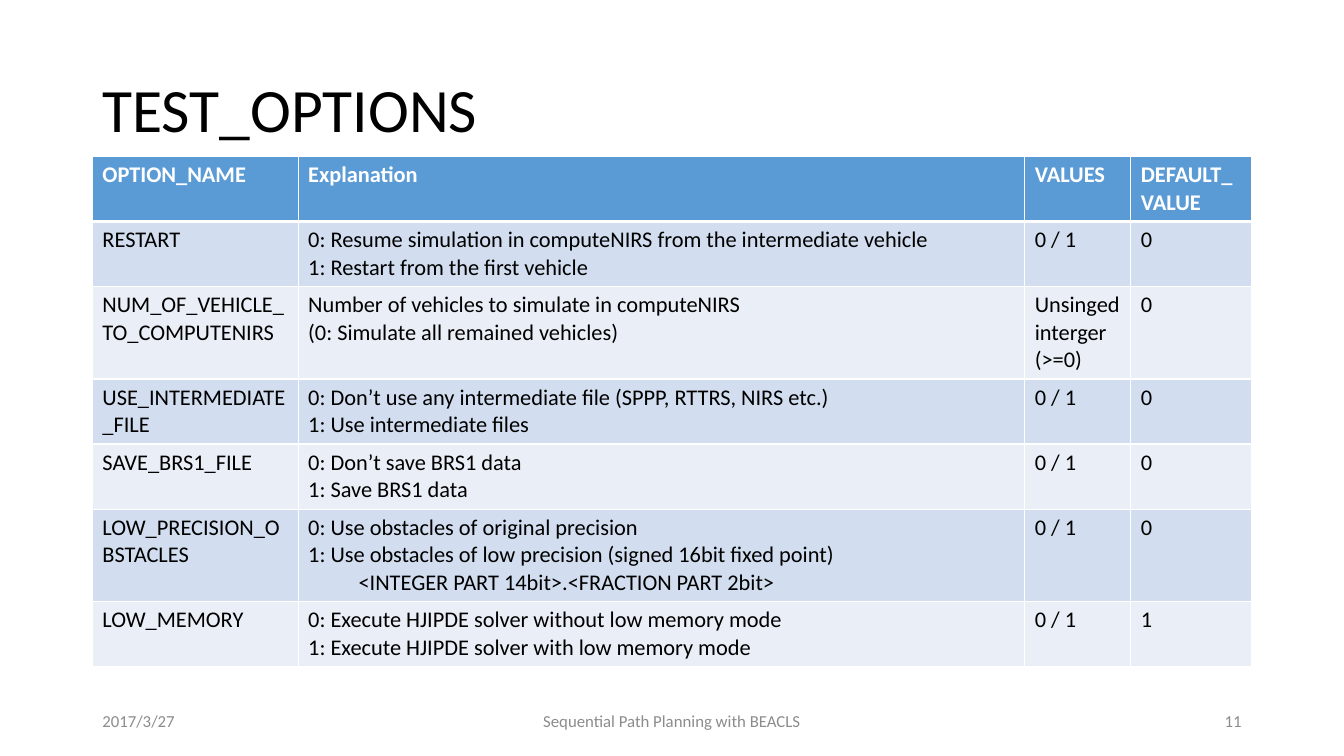
from pptx import Presentation
from pptx import util as u
from pptx.dml.color import RGBColor
from pptx.enum import text
from pptx.oxml import parse_xml
from pptx.oxml.ns import nsdecls

PX = 9525  # EMU per px, 96 px to the inch
FONT = "Calibri"
BLACK = RGBColor(0x00, 0x00, 0x00)
WHITE = RGBColor(0xFF, 0xFF, 0xFF)
GRAY = RGBColor(0x8C, 0x8C, 0x8C)
HEADER_BLUE = RGBColor(0x5B, 0x9B, 0xD5)
BAND_DARK = RGBColor(0xD2, 0xDE, 0xEF)
BAND_LIGHT = RGBColor(0xEA, 0xEF, 0xF7)

MARGIN, CONTENT_WIDTH = 88, 1104
COLUMN_WIDTHS = [196, 692, 101, 115]
LINE_HEIGHT, CELL_PADDING = 26, 10
DETAIL = "<INTEGER PART 14bit>.<FRACTION PART 2bit>"
HEADER = ("OPTION_NAME", "Explanation", "VALUES", "DEFAULT_VALUE")
OPTIONS = [
    ("RESTART",
     "0: Resume simulation in computeNIRS from the intermediate vehicle\n"
     "1: Restart from the first vehicle", "0 / 1", "0"),
    ("NUM_OF_VEHICLE_TO_COMPUTENIRS",
     "Number of vehicles to simulate in computeNIRS\n"
     "(0: Simulate all remained vehicles)", "Unsinged interger (>=0)", "0"),
    ("USE_INTERMEDIATE_FILE",
     "0: Don’t use any intermediate file (SPPP, RTTRS, NIRS etc.)\n"
     "1: Use intermediate files", "0 / 1", "0"),
    ("SAVE_BRS1_FILE",
     "0: Don’t save BRS1 data\n1: Save BRS1 data", "0 / 1", "0"),
    ("LOW_PRECISION_OBSTACLES",
     "0: Use obstacles of original precision\n"
     "1: Use obstacles of low precision (signed 16bit fixed point)\n" + DETAIL,
     "0 / 1", "0"),
    ("LOW_MEMORY",
     "0: Execute HJIPDE solver without low memory mode\n"
     "1: Execute HJIPDE solver with low memory mode", "0 / 1", "1"),
]
LINES_PER_ROW = [2, 2, 3, 2, 2, 3, 2]


def px(*lengths):
    return [u.Emu(length * PX) for length in lengths]


def format_runs(paragraph, size, color, bold=False):
    for run in paragraph.runs:
        run.font.name = FONT
        run.font.size = u.Pt(size)
        run.font.bold = bold
        run.font.color.rgb = color


def add_title(slide, box, wording):
    title = slide.shapes.title
    title.left, title.top, title.width, title.height = px(*box)
    frame = title.text_frame
    frame.text = wording
    frame.auto_size = text.MSO_AUTO_SIZE.NONE
    frame.vertical_anchor = text.MSO_ANCHOR.MIDDLE
    paragraph = frame.paragraphs[0]
    paragraph.alignment = text.PP_ALIGN.LEFT
    paragraph.line_spacing = 0.9
    format_runs(paragraph, 44, BLACK)


def set_borders(cell, top, bottom):
    properties = cell._tc.get_or_add_tcPr()
    for side, width in (("L", 1), ("R", 1), ("T", top), ("B", bottom)):
        properties.append(parse_xml(
            f'<a:ln{side} {nsdecls("a")} w="{u.Pt(width)}"><a:solidFill>'
            f'<a:srgbClr val="{WHITE}"/></a:solidFill></a:ln{side}>'))


def add_options_table(slide, box):
    rows = [HEADER] + OPTIONS
    table = slide.shapes.add_table(len(rows), len(HEADER), *px(*box)).table
    for column, width in zip(table.columns, px(*COLUMN_WIDTHS)):
        column.width = width
    for row, lines in zip(table.rows, LINES_PER_ROW):
        row.height = px(lines * LINE_HEIGHT + CELL_PADDING)[0]

    for i, wordings in enumerate(rows):
        is_header = i == 0
        fill = HEADER_BLUE if is_header else BAND_DARK if i % 2 else BAND_LIGHT
        for j, wording in enumerate(wordings):
            cell = table.cell(i, j)
            cell.text = wording
            set_borders(cell, 3 if i == 1 else 1, 3 if is_header else 1)
            cell.fill.solid()
            cell.fill.fore_color.rgb = fill
            for paragraph in cell.text_frame.paragraphs:
                format_runs(paragraph, 16, WHITE if is_header else BLACK, is_header)
                if paragraph.text == DETAIL:
                    paragraph.level = 1
                    paragraph._p.get_or_add_pPr().set("marL", str(48 * PX))


def add_footer(slide, box):
    left, top, width, height = box
    side, middle = 288, 432
    parts = [
        ("2017/3/27", left, side, text.PP_ALIGN.LEFT),
        ("Sequential Path Planning with BEACLS",
         left + (width - middle) // 2, middle, text.PP_ALIGN.CENTER),
        ("11", left + width - side, side, text.PP_ALIGN.RIGHT),
    ]
    for wording, part_left, part_width, alignment in parts:
        shape = slide.shapes.add_textbox(*px(part_left, top, part_width, height))
        frame = shape.text_frame
        frame.word_wrap = True
        frame.vertical_anchor = text.MSO_ANCHOR.MIDDLE
        frame.text = wording
        frame.paragraphs[0].alignment = alignment
        format_runs(frame.paragraphs[0], 12, GRAY)


def main():
    presentation = Presentation()
    presentation.slide_width, presentation.slide_height = px(1280, 720)
    title_only = presentation.slide_layouts[5]
    slide = presentation.slides.add_slide(title_only)

    # Title, options table, footer
    add_title(slide, (MARGIN, 38, CONTENT_WIDTH, 139), "TEST_OPTIONS")
    add_options_table(slide, (MARGIN, 149, CONTENT_WIDTH, 477))
    add_footer(slide, (MARGIN, 667, CONTENT_WIDTH, 38))

    presentation.save("out.pptx")


if __name__ == "__main__":
    main()
